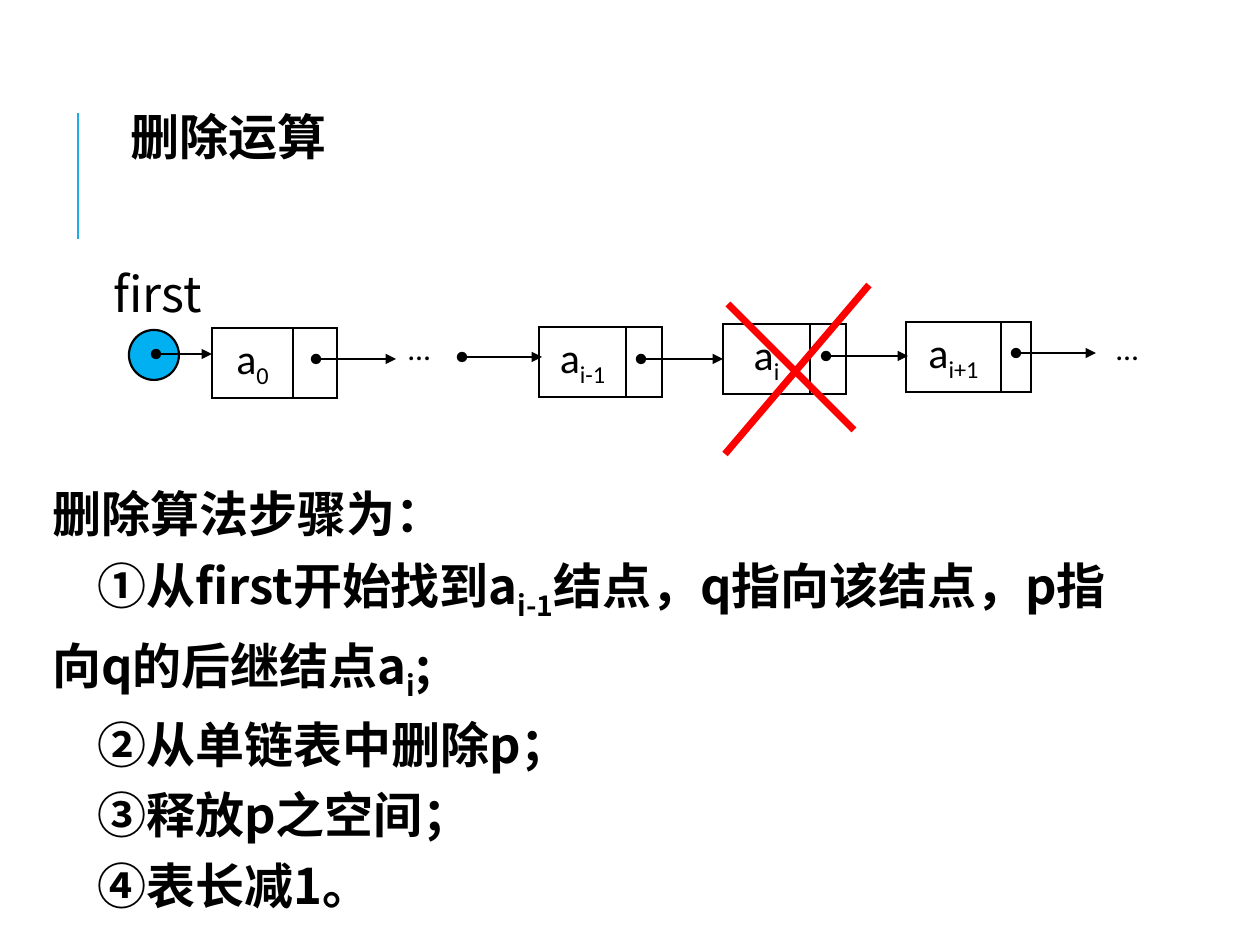
from pptx import Presentation
from pptx.dml.color import RGBColor
from pptx.enum.shapes import MSO_CONNECTOR, MSO_SHAPE
from pptx.enum.text import MSO_ANCHOR, PP_ALIGN
from pptx.oxml.ns import qn
from pptx.util import Emu, Pt
from lxml.etree import SubElement

CJK = "Noto Sans CJK SC"
BLACK = "000000"


def px(length):
    return Emu(round(length * 914400 / 126))


def color(value):
    return RGBColor.from_string(value)


def place(shape, box):
    shape.left, shape.top, shape.width, shape.height = map(px, box)


def style(font, size, name, bold=False):
    font.size, font.name, font.bold = Pt(size), name, bold
    font.color.rgb = color(BLACK)
    SubElement(font._element, qn("a:ea")).set("typeface", name)


def add_spans(para, pieces):
    for index, piece in enumerate(pieces):
        span = para.add_run()
        span.text = piece
        if index % 2:
            span.font._element.set("baseline", "-25000")


def indent(para, first_line):
    properties = para._p.get_or_add_pPr()
    properties.set("marL", "0")
    properties.set("indent", str(px(first_line)))
    SubElement(properties, qn("a:buNone"))


def add_line(page, start, end, value, width, arrow=False):
    line = page.shapes.add_connector(MSO_CONNECTOR.STRAIGHT, *map(px, start + end))
    line.line.color.rgb = color(value)
    line.line.width = Pt(width)
    if arrow:
        outline = line.line._get_or_add_ln()
        SubElement(outline, qn("a:headEnd")).set("type", "oval")
        SubElement(outline, qn("a:tailEnd")).set("type", "triangle")
    SubElement(line._element.spPr, qn("a:effectLst"))


def add_label(page, box, text, size, name, wrap):
    label = page.shapes.add_textbox(*map(px, box))
    label.text_frame.word_wrap = wrap
    para = label.text_frame.paragraphs[0]
    para.text = text
    style(para.font, size, name)


def add_border(cell):
    properties = cell._tc.get_or_add_tcPr()
    for index, side in enumerate(("lnL", "lnR", "lnT", "lnB")):
        border = properties.makeelement(qn(f"a:{side}"), {"w": str(Pt(1))})
        fill = SubElement(border, qn("a:solidFill"))
        SubElement(fill, qn("a:srgbClr")).set("val", BLACK)
        properties.insert(index, border)


def add_node(page, left, top, widths, subscript):
    frame = page.shapes.add_table(1, 2, px(left), px(top), px(sum(widths)), px(70))
    table = frame.table
    table.first_row = table.horz_banding = False
    for column, width in zip(table.columns, widths):
        column.width = px(width)
    for cell in table.rows[0].cells:
        cell.fill.background()
        cell.vertical_anchor = MSO_ANCHOR.MIDDLE
        add_border(cell)
    para = table.cell(0, 0).text_frame.paragraphs[0]
    para.alignment = PP_ALIGN.CENTER
    add_spans(para, ["a", subscript])
    style(para.font, 24, "Calibri")


def add_heading(page, left, top):
    add_line(page, (left, top + 126), (left, top), "1CADE4", 1.5)
    title = page.shapes.title
    place(title, (left - 5, top - 1, 379, 62))
    title.text_frame.vertical_anchor = MSO_ANCHOR.TOP
    para = title.text_frame.paragraphs[0]
    para.text = "删除运算"
    para.alignment = PP_ALIGN.LEFT
    para.line_spacing = 0.8
    indent(para, 45)
    style(para.font, 28, CJK, True)


def add_list_diagram(page, left, top):
    def at(x, y):
        return left + x, top + y

    for x, y, widths, subscript in (
        (111, 71, (81, 44), "0"),
        (438, 70, (87, 36), "i-1"),
        (622, 67, (87, 36), "i"),
        (805, 65, (95, 24), "i+1"),
    ):
        add_node(page, *at(x, y), widths, subscript)

    head = page.shapes.add_shape(MSO_SHAPE.OVAL, *map(px, at(28, 73) + (50, 50)))
    head.shadow.inherit = False
    head.fill.solid()
    head.fill.fore_color.rgb = color("00B0F0")
    head.line.color.rgb = color(BLACK)
    head.line.width = Pt(1.25)

    add_label(page, at(0, 0) + (154, 72), "first", 28, CJK, True)
    for x in (295, 1003):
        add_label(page, at(x, 66) + (57, 50), "…", 18, "Calibri", False)

    for start, end, y in (
        (55, 111, 97), (215, 295, 102), (361, 441, 100),
        (540, 622, 102), (725, 807, 99), (915, 995, 96),
    ):
        add_line(page, at(start, y), at(end, y), BLACK, 1.5, True)
    for start, end in (((768, 28), (624, 197)), ((627, 47), (753, 173))):
        add_line(page, at(*start), at(*end), "FF0000", 4)


def add_steps(page, box):
    body = page.placeholders[1]
    place(body, box)
    body.line.color.rgb = color("FFFFFF")
    body.line.width = Pt(0.75)
    steps = (
        ["删除算法步骤为："],
        ["①从first开始找到a", "i-1", "结点，q指向该结点，p指向q的后继结点a", "i", ";"],
        ["②从单链表中删除p；"],
        ["③释放p之空间；"],
        ["④表长减1。"],
    )
    frame = body.text_frame
    for index, pieces in enumerate(steps):
        para = frame.add_paragraph() if index else frame.paragraphs[0]
        para.line_spacing = 1.2
        para.space_before = Pt(0)
        indent(para, 45 if index else 0)
        add_spans(para, pieces)
        style(para.font, 28, CJK, True)


def main():
    deck = Presentation()
    deck.slide_width, deck.slide_height = px(1260), px(945)
    page = deck.slides.add_slide(deck.slide_layouts[1])
    add_heading(page, 78, 113)
    add_list_diagram(page, 101, 257)
    add_steps(page, (40, 465, 1120, 438))
    deck.save("out.pptx")


if __name__ == "__main__":
    main()
